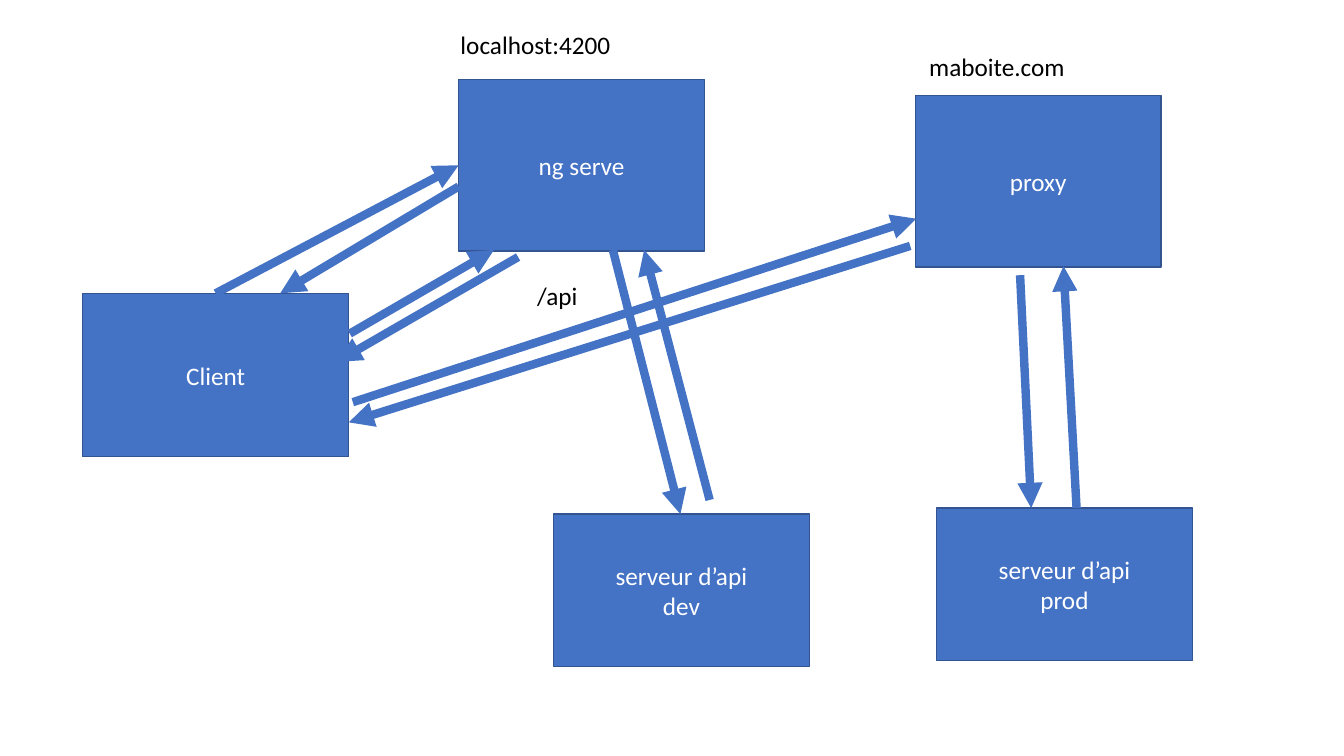
from pptx import Presentation
from pptx.dml.color import RGBColor
from pptx.enum.shapes import MSO_CONNECTOR, MSO_SHAPE
from pptx.enum.text import MSO_ANCHOR, MSO_AUTO_SIZE, PP_ALIGN
from pptx.oxml.ns import qn
from pptx.util import Inches, Pt
from lxml.etree import SubElement

COLUMNS, ROWS = 133.33, 75
CELL = Inches(0.1)
BLUE, BORDER, WHITE, BLACK = "4472C4", "325491", "FFFFFF", "000000"


def paint(target, color):
    target.rgb = RGBColor.from_string(color)


def write(frame, wording, color, alignment, layout):
    for attribute, value in layout.items():
        setattr(frame, attribute, value)
    frame.text = wording
    for paragraph in frame.paragraphs:
        paragraph.alignment = alignment
        for attribute, value in {"size": Pt(18), "name": "Calibri"}.items():
            setattr(paragraph.font, attribute, value)
        paint(paragraph.font.color, color)


deck = Presentation()
deck.slide_width, deck.slide_height = int(COLUMNS * CELL), ROWS * CELL
slide = deck.slides.add_slide(deck.slide_layouts[6])

front_size, api_size = (24.4, 17), (25.4, 15.1)
machines = [
    ("Client", (8.2, 29.1), (26.4, 16.2)),
    ("ng serve", (45.5, 7.9), front_size),
    ("serveur d’api\nprod", (92.9, 50.4), api_size),
    ("serveur d’api\ndev", (54.9, 51), api_size),
    ("proxy", (90.8, 9.5), front_size),
]
machine_layout = {"word_wrap": True, "vertical_anchor": MSO_ANCHOR.MIDDLE}
for wording, corner, size in machines:
    machine = slide.shapes.add_shape(
        MSO_SHAPE.RECTANGLE, *[int(cells * CELL) for cells in corner + size])
    machine.shadow.inherit = False
    machine.fill.solid()
    paint(machine.fill.fore_color, BLUE)
    paint(machine.line.color, BORDER)
    machine.line.width = Pt(1)
    write(machine.text_frame, wording, WHITE, PP_ALIGN.CENTER, machine_layout)

addresses = [
    ("localhost:4200", (44.7, 2.4), 17),
    ("maboite.com", (91.2, 4.6), 15.6),
    ("/api", (52.3, 27.3), 6.1),
]
address_layout = {"word_wrap": False, "auto_size": MSO_AUTO_SIZE.SHAPE_TO_FIT_TEXT}
for wording, corner, width in addresses:
    address = slide.shapes.add_textbox(
        *[int(cells * CELL) for cells in (*corner, width, 4)])
    write(address.text_frame, wording, BLACK, PP_ALIGN.LEFT, address_layout)

exchanges = [
    ((60.8, 24.8), (67.5, 51)),
    ((21.4, 29.1), (45.5, 16.4)),
    ((45.5, 18.5), (27.8, 29.1)),
    ((34.7, 33.1), (49, 24.8)),
    ((70.4, 49.6), (63.9, 24.8)),
    ((51.4, 25.5), (33.4, 35.9)),
    ((35, 39.9), (90.9, 21.7)),
    ((90.3, 24.4), (34.6, 41.9)),
    ((101.2, 27.3), (102.3, 50.4)),
    ((106.8, 50.4), (105.5, 26.4)),
]
for sender, receiver in exchanges:
    exchange = slide.shapes.add_connector(
        MSO_CONNECTOR.STRAIGHT, *[int(cells * CELL) for cells in sender + receiver])
    paint(exchange.line.color, BLUE)
    exchange.line.width = Pt(6)
    SubElement(exchange.line._get_or_add_ln(), qn("a:tailEnd"), type="triangle")
    SubElement(exchange._element.spPr, qn("a:effectLst"))

deck.save("out.pptx")
